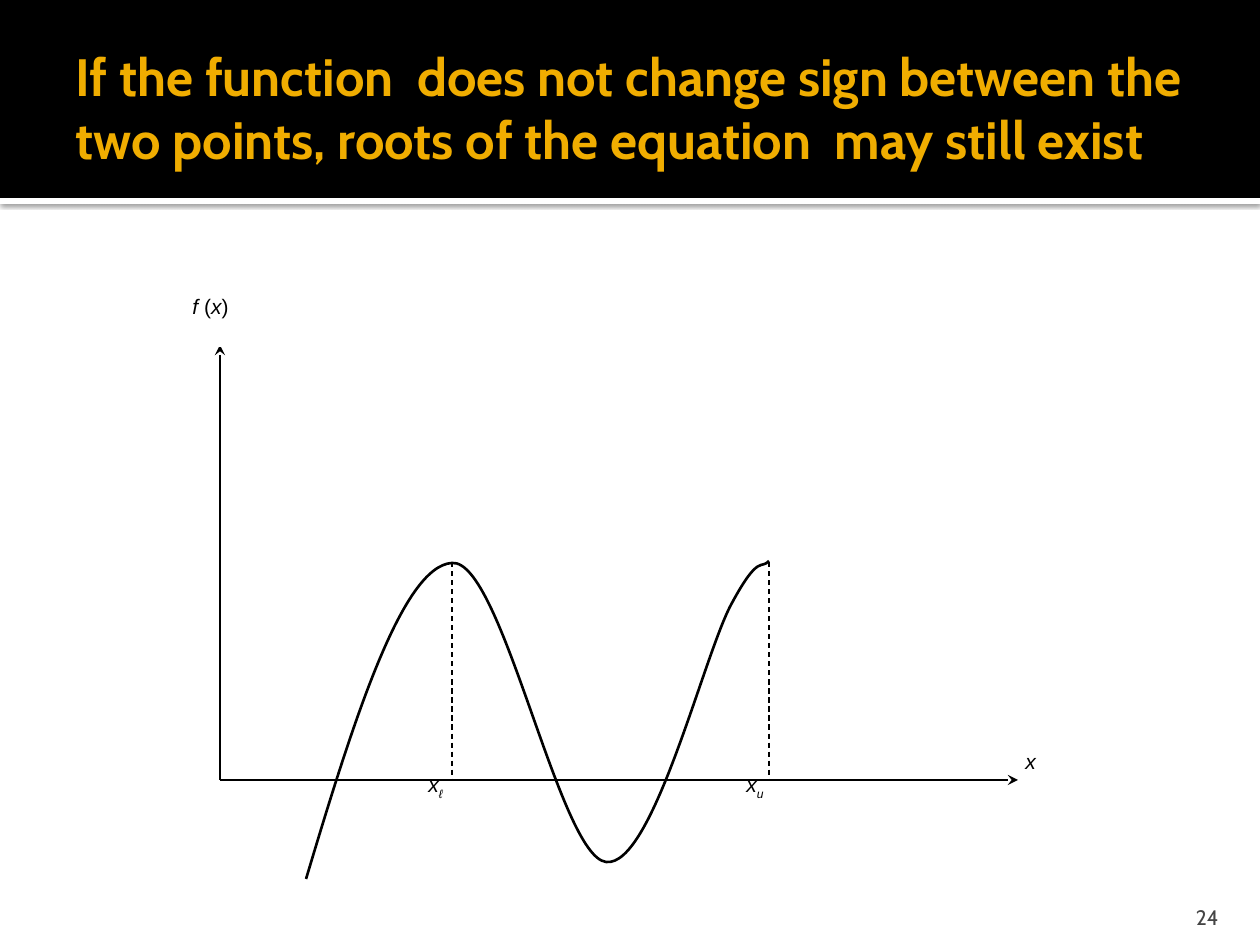
from dataclasses import dataclass

from lxml import etree
from pptx import Presentation
from pptx.dml.color import RGBColor
from pptx.enum.dml import MSO_LINE
from pptx.enum.shapes import MSO_CONNECTOR, MSO_SHAPE
from pptx.enum.text import MSO_ANCHOR, MSO_AUTO_SIZE, PP_ALIGN
from pptx.oxml.ns import qn
from pptx.util import Emu, Pt

RECTANGLE = MSO_SHAPE.RECTANGLE
STRAIGHT = MSO_CONNECTOR.STRAIGHT
DASH = MSO_LINE.DASH
MIDDLE, BOTTOM = MSO_ANCHOR.MIDDLE, MSO_ANCHOR.BOTTOM
LEFT, RIGHT, JUSTIFY = PP_ALIGN.LEFT, PP_ALIGN.RIGHT, PP_ALIGN.JUSTIFY
NO_AUTOFIT = MSO_AUTO_SIZE.NONE

EMU_PER_PX = 914400 / 126
SLIDE_WIDTH, SLIDE_HEIGHT = 1260, 945
TITLE_ONLY_LAYOUT = 5


@dataclass(frozen=True)
class Theme:
    black: RGBColor = RGBColor(0x00, 0x00, 0x00)
    white: RGBColor = RGBColor(0xFF, 0xFF, 0xFF)
    gold: RGBColor = RGBColor(0xF0, 0xAD, 0x00)
    grey: RGBColor = RGBColor(0x45, 0x45, 0x45)
    heading_font: str = "Cabin"
    label_font: str = "Arial"
    title_size: int = 30
    label_size: int = 12
    thin_line: float = 0.75
    curve_line: float = 1.5


THEME = Theme()


@dataclass(frozen=True)
class Box:
    left: int
    top: int
    width: int
    height: int


@dataclass(frozen=True)
class Symbol:
    text: str
    italic: bool = True
    subscript: bool = False


@dataclass(frozen=True)
class Label:
    box: Box
    symbols: tuple[Symbol, ...]
    filled: bool = False


@dataclass(frozen=True)
class Segment:
    start: tuple[int, int]
    end: tuple[int, int]
    arrow: bool = False


# Graph geometry
ORIGIN_X, AXIS_Y = 220, 780
PEAK_Y = 562
LOWER_X, UPPER_X = 452, 769

SEGMENTS = (
    Segment((ORIGIN_X, AXIS_Y), (ORIGIN_X, 345), arrow=True),
    Segment((ORIGIN_X, AXIS_Y), (1018, AXIS_Y), arrow=True),
    Segment((LOWER_X, PEAK_Y), (LOWER_X, AXIS_Y)),
    Segment((UPPER_X, PEAK_Y), (UPPER_X, AXIS_Y)),
)

LABELS = (
    Label(Box(180, 287, 111, 60),
          (Symbol("f "), Symbol("(", italic=False), Symbol("x"), Symbol(")", italic=False)),
          filled=True),
    Label(Box(416, 765, 98, 76), (Symbol("x"), Symbol("ℓ", subscript=True))),
    Label(Box(734, 765, 98, 76), (Symbol("x"), Symbol("u", subscript=True))),
    Label(Box(1013, 742, 98, 76), (Symbol("x"),)),
)

# Start point, then two control points and an end point per Bézier piece
CURVE_POINTS = (
    (306, 879),
    (353, 722), (402, 566), (452, 563),
    (502, 559), (559, 856), (606, 862),
    (653, 868), (704, 653), (732, 603),
    (759, 553), (761, 570), (769, 561),
)


def px(length: int) -> Emu:
    return Emu(round(length * EMU_PER_PX))


def place(box: Box) -> tuple[Emu, ...]:
    return px(box.left), px(box.top), px(box.width), px(box.height)


def style_run(run, font_name: str, size: int, color: RGBColor) -> None:
    run.font.name = font_name
    run.font.size = Pt(size)
    run.font.color.rgb = color


def add_bar(slide, box: Box, color: RGBColor):
    shape = slide.shapes.add_shape(RECTANGLE, *place(box))
    shape.fill.solid()
    shape.fill.fore_color.rgb = color
    shape.line.fill.background()
    shape.shadow.inherit = False
    return shape


def add_drop_shadow(shape) -> None:
    effects = shape._element.spPr.find(qn("a:effectLst"))
    shadow = etree.SubElement(effects, qn("a:outerShdw"), blurRad=str(Pt(2.5)),
                              dist=str(Pt(0.8)), dir="5400000", rotWithShape="0")
    color = etree.SubElement(shadow, qn("a:srgbClr"), val=str(THEME.black))
    etree.SubElement(color, qn("a:alpha"), val="60000")


def add_segment(slide, segment: Segment) -> None:
    connector = slide.shapes.add_connector(
        STRAIGHT, *(px(value) for value in segment.start + segment.end))
    connector.line.color.rgb = THEME.black
    connector.line.width = Pt(THEME.thin_line)
    if segment.arrow:
        etree.SubElement(connector.line._get_or_add_ln(), qn("a:tailEnd"), type="stealth")
    else:
        connector.line.dash_style = DASH
    etree.SubElement(connector._element.spPr, qn("a:effectLst"))


def add_label(slide, label: Label) -> None:
    shape = slide.shapes.add_textbox(*place(label.box))
    shape.text_frame.word_wrap = not label.filled
    if label.filled:
        shape.fill.solid()
        shape.fill.fore_color.rgb = THEME.white
    paragraph = shape.text_frame.paragraphs[0]
    paragraph.alignment = JUSTIFY
    for symbol in label.symbols:
        run = paragraph.add_run()
        run.text = symbol.text
        style_run(run, THEME.label_font, THEME.label_size, THEME.black)
        run.font.italic = symbol.italic
        if symbol.subscript:
            run.font._element.set("baseline", "-30000")


def add_curve(slide, points: tuple[tuple[int, int], ...]) -> None:
    builder = slide.shapes.build_freeform(*points[0], scale=EMU_PER_PX)
    builder.add_line_segments(points[1:], close=False)
    shape = builder.convert_to_shape()
    shape.fill.background()
    shape.line.color.rgb = THEME.black
    shape.line.width = Pt(THEME.curve_line)
    shape.shadow.inherit = False
    # Join each three line steps into one cubic piece
    steps = list(shape._element.iter(qn("a:lnTo")))
    outline = steps[0].getparent()
    for first in range(0, len(steps), 3):
        cubic = etree.SubElement(outline, qn("a:cubicBezTo"))
        for step in steps[first:first + 3]:
            cubic.append(step[0])
            outline.remove(step)


def add_title(slide, text: str) -> None:
    title = slide.shapes.title
    title.left, title.top, title.width, title.height = place(Box(63, 21, 1134, 173))
    frame = title.text_frame
    frame.text = text
    frame.word_wrap = True
    frame.auto_size = NO_AUTOFIT
    frame.vertical_anchor = MIDDLE
    frame.margin_right = px(6)
    paragraph = frame.paragraphs[0]
    paragraph.alignment = LEFT
    style_run(paragraph.runs[0], THEME.heading_font, THEME.title_size, THEME.gold)
    paragraph.runs[0].font.bold = True
    # Bring the title in front of the header band
    slide.shapes._spTree.append(title._element)


def add_page_number(slide, number: str) -> None:
    frame = slide.shapes.add_textbox(*place(Box(1130, 892, 101, 38))).text_frame
    frame.text = number
    frame.word_wrap = True
    frame.vertical_anchor = BOTTOM
    frame.margin_bottom = 0
    paragraph = frame.paragraphs[0]
    paragraph.alignment = RIGHT
    style_run(paragraph.runs[0], THEME.heading_font, THEME.label_size, THEME.grey)


def main() -> None:
    presentation = Presentation()
    presentation.slide_width, presentation.slide_height = px(SLIDE_WIDTH), px(SLIDE_HEIGHT)
    slide = presentation.slides.add_slide(presentation.slide_layouts[TITLE_ONLY_LAYOUT])
    # Header band
    add_drop_shadow(add_bar(slide, Box(0, 198, SLIDE_WIDTH, 6), THEME.white))
    add_bar(slide, Box(0, 0, SLIDE_WIDTH, 198), THEME.black)
    add_title(slide, "If the function  does not change sign between the two points, "
                     "roots of the equation  may still exist")
    # Graph
    for segment in SEGMENTS:
        add_segment(slide, segment)
    for label in LABELS:
        add_label(slide, label)
    add_curve(slide, CURVE_POINTS)
    # Footer
    add_page_number(slide, "24")
    presentation.save("out.pptx")


if __name__ == "__main__":
    main()
